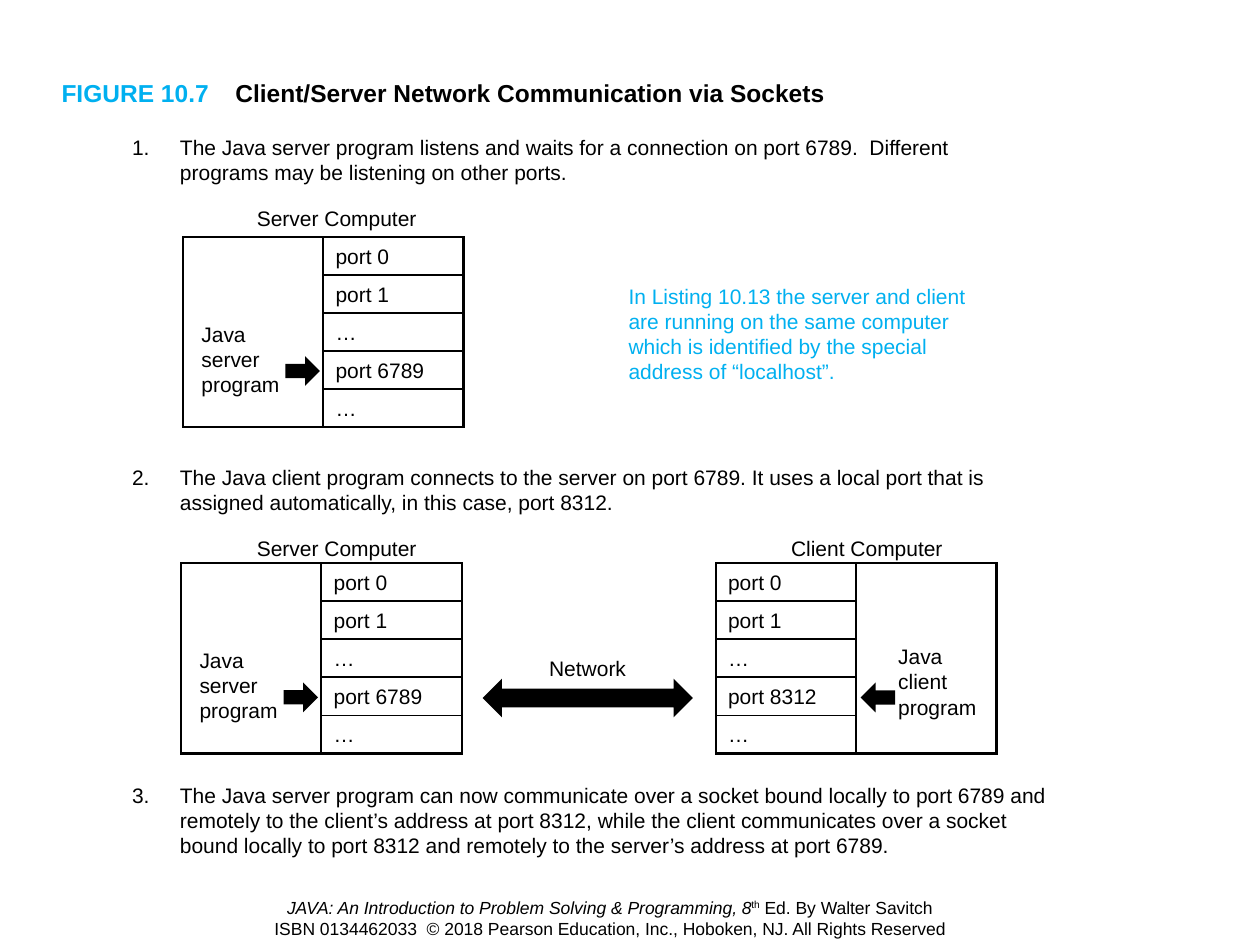
from dataclasses import dataclass
from typing import Any

from lxml.etree import SubElement
from pptx import Presentation
from pptx.dml.color import RGBColor
from pptx.enum.shapes import MSO_SHAPE as Kind
from pptx.enum.text import MSO_ANCHOR as Anchor, MSO_AUTO_SIZE as Auto, PP_ALIGN as Align
from pptx.oxml.ns import qn
from pptx.util import Inches, Pt

WIDE, HIGH = Inches(10), Inches(7.5)
COL, ROW = WIDE / 100, HIGH / 75
INK, SKY = "000000", "00B0F0"
HOST_W, HOST_H = 22.3, 15.1
BODY = {"name": "Arial", "size": Pt(12), "bold": False, "italic": False}
HEAD = BODY | {"size": Pt(14), "bold": True}
FOOT = BODY | {"size": Pt(10)}


@dataclass
class Area:
    """A place on the slide, in columns and rows."""
    x: float
    y: float
    w: float
    h: float

    def emu(self) -> list[int]:
        """Give left, top, width and height."""
        return [round(n * u) for n, u in
                zip((self.x, self.y, self.w, self.h), (COL, ROW, COL, ROW))]


@dataclass
class Step:
    """A numbered line of the text."""
    num: int
    area: Area
    text: str


@dataclass
class Host:
    """A computer with a program and its ports."""
    x: float
    y: float
    role: str
    port: str
    tag: Area

    @property
    def right(self) -> bool:
        """Tell if the program stands right of the ports."""
        return self.role == "client"


STEPS = [
    Step(1, Area(9.5, 10.2, 70.9, 7), "The Java server program listens and waits for a "
         "connection on port 6789.  Different programs may be listening on other ports."),
    Step(2, Area(9.5, 36.4, 76, 7), "The Java client program connects to the server on "
         "port 6789. It uses a local port that is assigned automatically, in this case, "
         "port 8312."),
    Step(3, Area(9.5, 61.6, 76, 9), "The Java server program can now communicate over a "
         "socket bound locally to port 6789 and remotely to the client’s address at port "
         "8312, while the client communicates over a socket bound locally to port 8312 "
         "and remotely to the server’s address at port 6789."),
]
HOSTS = [
    Host(14.5, 18.8, "server", "port 6789", Area(19.4, 15.8, 14.7, 3)),
    Host(14.35, 44.7, "server", "port 6789", Area(19.4, 42, 14.7, 3)),
    Host(56.8, 44.7, "client", "port 8312", Area(61.8, 42, 14.2, 3)),
]


def paint(hue: str) -> RGBColor:
    """Turn a hex string into a colour."""
    return RGBColor.from_string(hue)


def put(par: Any, text: str, hue: str = INK, **style: Any) -> Any:
    """Add a run of text to a paragraph."""
    run = par.add_run()
    run.text = text
    for key, val in (BODY | style).items():
        setattr(run.font, key, val)
    run.font.color.rgb = paint(hue)
    return run


def fit(frame: Any, wrap: bool, anchor: Any = Anchor.TOP) -> None:
    """Set the margins, wrap and growth of a text frame."""
    form = {"margin_left": Inches(0.1), "margin_right": Inches(0.1),
            "margin_top": Inches(0.05), "margin_bottom": Inches(0.05),
            "word_wrap": wrap, "vertical_anchor": anchor,
            "auto_size": Auto.NONE if wrap else Auto.SHAPE_TO_FIT_TEXT}
    for key, val in form.items():
        setattr(frame, key, val)


def write(slide: Any, area: Area, text: str = "", hue: str = INK,
          wrap: bool = False, anchor: Any = Anchor.TOP) -> Any:
    """Add a text box and give back its first paragraph."""
    frame = slide.shapes.add_textbox(*area.emu()).text_frame
    fit(frame, wrap, anchor)
    first = frame.paragraphs[0]
    for i, line in enumerate(text.split("\n") if text else []):
        put(frame.add_paragraph() if i else first, line, hue)
    return first


def draw(slide: Any, kind: Any, area: Area, line: float, fill: str = "") -> Any:
    """Add a preset shape with a black, sharp-cornered line."""
    shape = slide.shapes.add_shape(kind, *area.emu())
    shape.shadow.inherit = False
    if fill:
        shape.fill.solid()
        shape.fill.fore_color.rgb = paint(fill)
    else:
        shape.fill.background()
    shape.line.color.rgb = paint(INK)
    shape.line.width = Pt(line)
    SubElement(shape._element.spPr.find(qn("a:ln")), qn("a:miter"), lim="800000")
    return shape


def list_step(slide: Any, step: Step) -> None:
    """Write a numbered step with a hanging indent."""
    par = write(slide, step.area, wrap=True)
    props = par._p.get_or_add_pPr()
    props.set("marL", str(Inches(0.38)))
    props.set("indent", str(-Inches(0.38)))
    SubElement(SubElement(props, qn("a:buClr")), qn("a:srgbClr"), val=INK)
    SubElement(props, qn("a:buAutoNum"), type="arabicPeriod", startAt=str(step.num))
    put(par, step.text)


def draw_host(slide: Any, host: Host) -> None:
    """Draw a computer, its ports, program and arrow."""
    x, y, half, high = host.x, host.y, HOST_W / 2, HOST_H / 5
    draw(slide, Kind.RECTANGLE, Area(x, y, HOST_W, HOST_H), 1.25)
    write(slide, host.tag, f"{host.role.title()} Computer")
    text_x, text_y = (13.5, 5.9) if host.right else (0.5, 6.2)
    write(slide, Area(x + text_x, y + text_y, 8.2, 7), f"Java\n{host.role}\nprogram")
    left = x if host.right else x + half
    for i, name in enumerate(("port 0", "port 1", "…", host.port, "…")):
        cell = draw(slide, Kind.RECTANGLE, Area(left, y + i * high, half, high), 1)
        fit(cell.text_frame, True)
        par = cell.text_frame.paragraphs[0]
        par.alignment = Align.LEFT
        put(par, name)
    shift = 11.7 if host.right else 8.3
    arrow = draw(slide, Kind.RIGHT_ARROW, Area(x + shift, y + 9.8, 2.4, 1.7), 2, INK)
    arrow.rotation = 180 if host.right else 0


def add_head(slide: Any) -> None:
    """Write the figure number and title."""
    par = write(slide, Area(3.9, 5.7, 65, 3.4), wrap=True)
    tabs = SubElement(par._p.get_or_add_pPr(), qn("a:tabLst"))
    SubElement(tabs, qn("a:tab"), pos=str(Inches(1.38)), algn="l")
    put(par, "FIGURE 10.7\t", SKY, **HEAD)
    put(par, "Client/Server Network Communication via Sockets", **HEAD)


def add_foot(slide: Any) -> None:
    """Write the source and copyright lines."""
    par = write(slide, Area(12.6, 71.7, 71.6, 3.3), wrap=True, anchor=Anchor.BOTTOM)
    par.alignment = Align.CENTER
    put(par, "JAVA: An Introduction to Problem Solving & Programming, 8",
        **FOOT | {"italic": True})
    put(par, "th", **FOOT)._r.get_or_add_rPr().set("baseline", "30000")
    put(par, " Ed. By Walter Savitch", **FOOT)
    par.add_line_break()
    put(par, "ISBN 0134462033  © 2018 Pearson Education, Inc., Hoboken, NJ. "
        "All Rights Reserved", **FOOT)


def main() -> None:
    """Build the slide and save it."""
    deck = Presentation()
    deck.slide_width, deck.slide_height = WIDE, HIGH
    slide = deck.slides.add_slide(deck.slide_layouts[6])
    add_foot(slide)
    add_head(slide)
    for step in STEPS:
        list_step(slide, step)
    for host in HOSTS:
        draw_host(slide, host)
    draw(slide, Kind.LEFT_RIGHT_ARROW, Area(38.5, 54.2, 16.3, 2.4), 2, INK)
    write(slide, Area(42.6, 51.5, 8.1, 3), "Network")
    write(slide, Area(48.9, 22, 29.4, 9), "In Listing 10.13 the server and client are "
          "running on the same computer which is identified by the special address of "
          "“localhost”.", SKY, True)
    deck.save("out.pptx")


if __name__ == "__main__":
    main()
